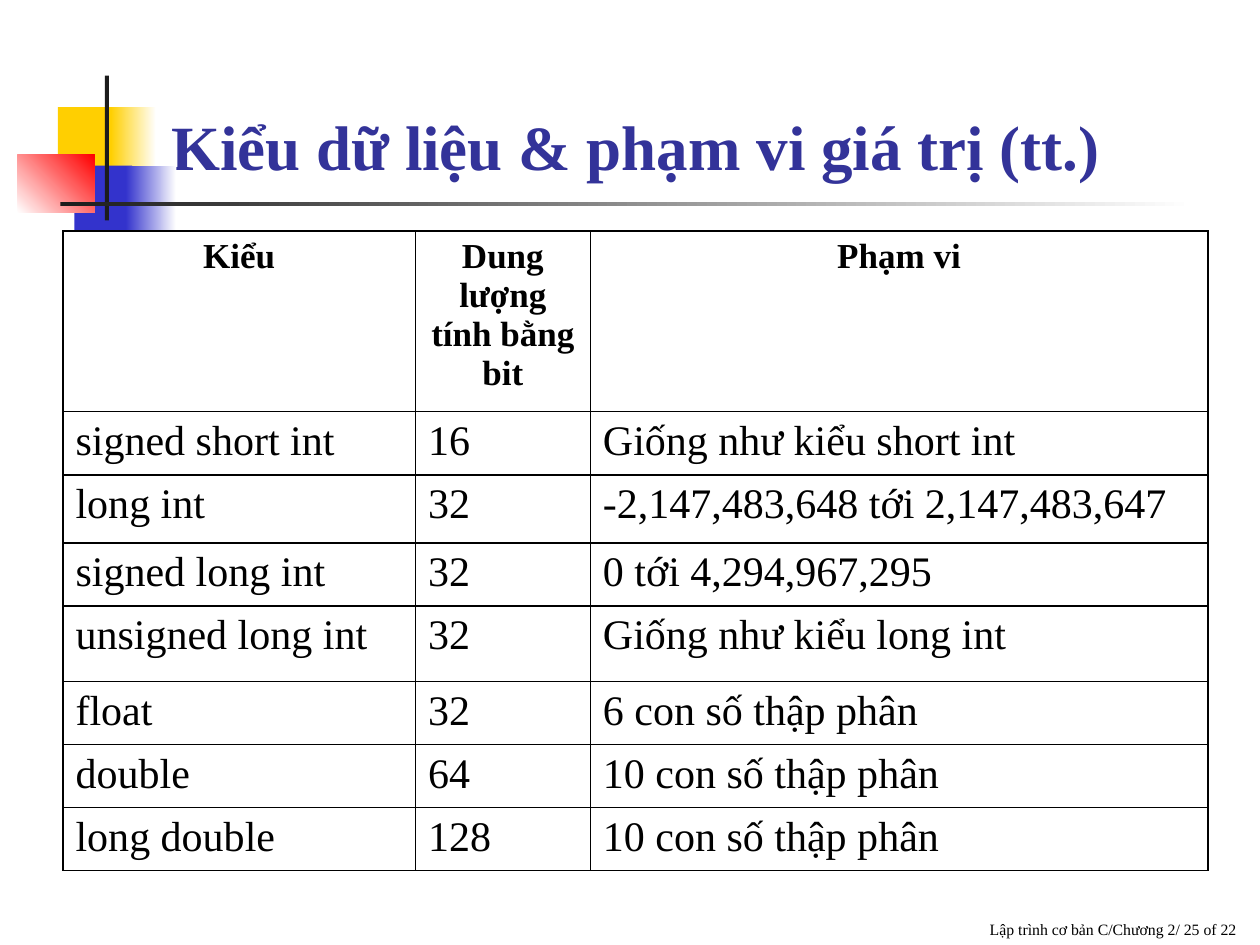
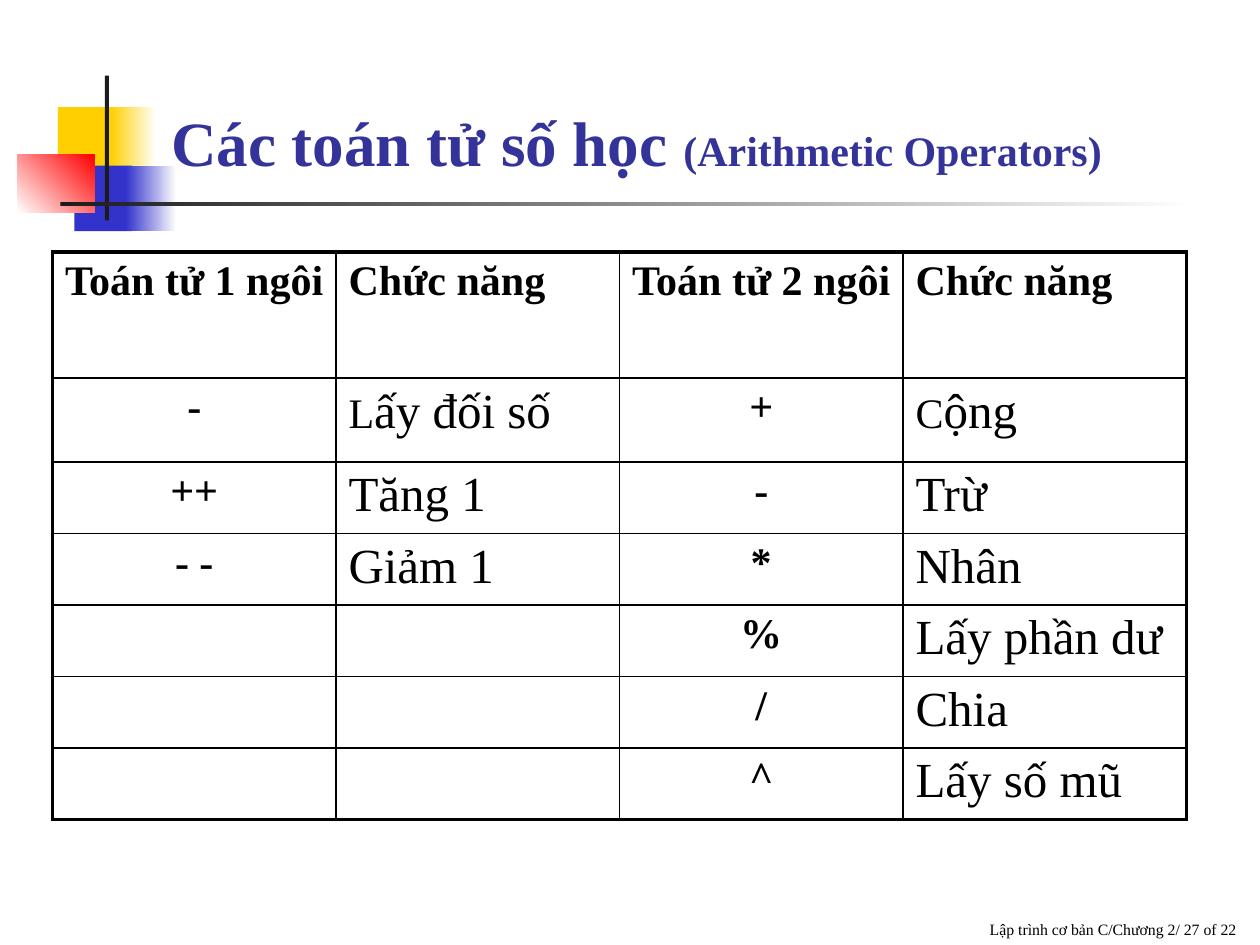
"""Build two lesson slides on C data types and arithmetic operators."""
import lxml.etree
import pptx
import pptx.dml.color
import pptx.enum.shapes
import pptx.enum.text
import pptx.oxml.ns
import pptx.util

Pt = pptx.util.Pt
RGBColor = pptx.dml.color.RGBColor
Align = pptx.enum.text.PP_ALIGN
qn = pptx.oxml.ns.qn

FONT = "Times New Roman"
BLACK = RGBColor(0x00, 0x00, 0x00)
WHITE = RGBColor(0xFF, 0xFF, 0xFF)
YELLOW = RGBColor(0xFF, 0xCF, 0x01)
BLUE = RGBColor(0x33, 0x33, 0xCC)
RED = RGBColor(0xFF, 0x00, 0x00)
CHARCOAL = RGBColor(0x1C, 0x1C, 0x1C)
TITLE_BLUE = RGBColor(0x33, 0x33, 0x99)

EMBLEM = [
    ((33.12, 61.2, 34.56, 37.44), [YELLOW], 0),
    ((63.36, 61.2, 25.92, 37.44), [YELLOW, WHITE], 0),
    ((42.48, 94.6, 33.12, 37.44), [BLUE], 0),
    ((72, 94.6, 28.8, 37.44), [BLUE, WHITE], 0),
    ((10.08, 88.56, 43.92, 33.12), [WHITE, RED], 45),
    ((59.9, 43.2, 2.4, 82.8), [CHARCOAL], 0),
    ((34.56, 115.2, 648, 2.4), [CHARCOAL, WHITE], 0),
]

TYPE_HEADERS = ["Kiểu", "Dung lượng\ntính bằng bit", "Phạm vi"]
TYPE_ROWS = [
    ("signed short int", "16", "Giống như kiểu short int"),
    ("long int", "32", "-2,147,483,648\u00a0tới\u00a02,147,483,647"),
    ("signed long int", "32", "0 tới 4,294,967,295"),
    ("unsigned long int", "32", "Giống như kiểu long int"),
    ("float", "32", "6 con số thập phân"),
    ("double", "64", "10 con số thập phân"),
    ("long double", "128", "10 con số thập phân"),
]

OPERATOR_HEADERS = ["Toán tử 1 ngôi", "Chức năng", "Toán tử 2 ngôi", "Chức năng"]
OPERATOR_ROWS = [
    ("-", "Lấy đối số", "+", "Cộng"),
    ("++", "Tăng 1", "-", "Trừ"),
    ("- -", "Giảm 1", "*", "Nhân"),
    ("", "", "%", "Lấy phần dư"),
    ("", "", "/", "Chia"),
    ("", "", "^", "Lấy số mũ"),
]


def apply_format(target, values):
    """Set each attribute of target from a dict of format values."""
    for attribute, value in values.items():
        setattr(target, attribute, value)


def write(paragraph, pieces, bold=False, color=BLACK, align=Align.LEFT):
    """Fill a paragraph with (text, size) pieces."""
    paragraph.alignment = align
    for text, size in pieces:
        run = paragraph.add_run()
        run.text = text
        apply_format(run.font, {"name": FONT, "size": Pt(size), "bold": bold})
        run.font.color.rgb = color


def add_emblem(slide):
    """Draw the coloured blocks and rules behind the title."""
    for box, colors, angle in EMBLEM:
        block = slide.shapes.add_shape(
            pptx.enum.shapes.MSO_SHAPE.RECTANGLE, *map(Pt, box))
        block.shadow.inherit = False
        block.line.fill.background()
        if len(colors) == 1:
            block.fill.solid()
            block.fill.fore_color.rgb = colors[0]
            continue
        block.fill.gradient()
        block.fill.gradient_angle = angle
        for stop, color, position in zip(block.fill.gradient_stops, colors, (0, 1)):
            stop.color.rgb = color
            stop.position = position


def add_title(slide, pieces, width, height):
    """Place and write the title placeholder."""
    title = slide.shapes.title
    apply_format(title, {"left": Pt(90.72), "top": Pt(41.76),
                         "width": Pt(width), "height": Pt(height)})
    apply_format(title.text_frame, {
        "word_wrap": True,
        "auto_size": pptx.enum.text.MSO_AUTO_SIZE.NONE,
        "vertical_anchor": pptx.enum.text.MSO_ANCHOR.BOTTOM})
    write(title.text_frame.paragraphs[0], pieces, True, TITLE_BLUE)


def add_footer(slide, number):
    """Write the course name and page number at the lower right."""
    frame = slide.shapes.add_textbox(Pt(275.76), Pt(504), Pt(437.76), Pt(36)).text_frame
    apply_format(frame, {"word_wrap": True,
                         "vertical_anchor": pptx.enum.text.MSO_ANCHOR.BOTTOM})
    text = f"Lập trình cơ bản C/Chương 2/ {number} of 22"
    write(frame.paragraphs[0], [(text, 9)], align=Align.RIGHT)


def add_slide(deck, title_pieces, title_width, title_height, number):
    """Add a slide with the shared emblem, title and footer."""
    slide = deck.slides.add_slide(deck.slide_layouts[5])
    add_emblem(slide)
    add_title(slide, title_pieces, title_width, title_height)
    add_footer(slide, number)
    return slide


def set_borders(cell, widths):
    """Draw black cell borders with widths for left, right, top and bottom."""
    properties = cell._tc.get_or_add_tcPr()
    for index, (side, width) in enumerate(zip("LRTB", widths)):
        line = lxml.etree.Element(qn(f"a:ln{side}"), w=str(Pt(width)))
        fill = lxml.etree.SubElement(line, qn("a:solidFill"))
        lxml.etree.SubElement(fill, qn("a:srgbClr"), val=str(BLACK))
        properties.insert(index, line)


def add_grid(slide, origin, widths, heights, frame_width):
    """Add an unfilled ruled table whose outer frame has its own line width."""
    table = slide.shapes.add_table(
        len(heights), len(widths), *map(Pt, (*origin, sum(widths), sum(heights)))).table
    apply_format(table, {"first_row": False, "horz_banding": False})
    for column, width in zip(table.columns, widths):
        column.width = Pt(width)
    for row, height in zip(table.rows, heights):
        row.height = Pt(height)
    last_row, last_column = len(heights) - 1, len(widths) - 1
    for r, row in enumerate(table.rows):
        for c, cell in enumerate(row.cells):
            cell.fill.background()
            outer = (c == 0, c == last_column, r == 0, r == last_row)
            set_borders(cell, [frame_width if edge else 1 for edge in outer])
    return table


def write_spaced(cell, pieces, bold, align=Align.LEFT):
    """Write a cell paragraph with a fifth of a line above it."""
    paragraph = cell.text_frame.paragraphs[0]
    write(paragraph, pieces, bold, align=align)
    before = lxml.etree.SubElement(paragraph._p.get_or_add_pPr(), qn("a:spcBef"))
    lxml.etree.SubElement(before, qn("a:spcPct"), val="20000")


def fill_types(table):
    """Write the data types, their sizes and ranges."""
    for cell, header in zip(table.rows[0].cells, TYPE_HEADERS):
        for index, line in enumerate(header.split("\n")):
            frame = cell.text_frame
            paragraph = frame.add_paragraph() if index else frame.paragraphs[0]
            write(paragraph, [(line, 20)], True, align=Align.CENTER)
    for r, values in enumerate(TYPE_ROWS, 1):
        for cell, value in zip(table.rows[r].cells, values):
            write(cell.text_frame.paragraphs[0], [(value, 24)], align=Align.JUSTIFY)


def fill_operators(table):
    """Write the unary and binary operators beside their meanings."""
    for cell, header in zip(table.rows[0].cells, OPERATOR_HEADERS):
        write_spaced(cell, [(header, 24)], True)
    for r, values in enumerate(OPERATOR_ROWS, 1):
        for c, value in enumerate(values):
            if not value:
                continue
            cell = table.cell(r, c)
            if c % 2 == 0:
                write_spaced(cell, [(value, 24)], True, Align.CENTER)
            elif r == 1:
                write_spaced(cell, [(value[0], 24), (value[1:], 28)], False)
            else:
                write_spaced(cell, [(value, 28)], False)


def main():
    """Build and save the deck."""
    deck = pptx.Presentation()
    apply_format(deck, {"slide_width": Pt(720), "slide_height": Pt(540)})

    types = add_slide(deck, [("Kiểu dữ liệu & phạm vi giá trị (tt.)", 36)],
                      599.04, 66.24, 25)
    fill_types(add_grid(types, (36, 132), [201.4, 100, 352.8],
                        [103, 36, 38.9, 36, 43.2, 36, 36, 36], 1))

    operators = add_slide(
        deck, [("Các toán tử số học ", 36), ("(Arithmetic Operators)", 24)],
        605.52, 64.08, 27)
    fill_operators(add_grid(operators, (30, 144), [162] * 4,
                            [72, 48] + [40.8] * 4 + [36], 2.25))

    deck.save("out.pptx")


main()
